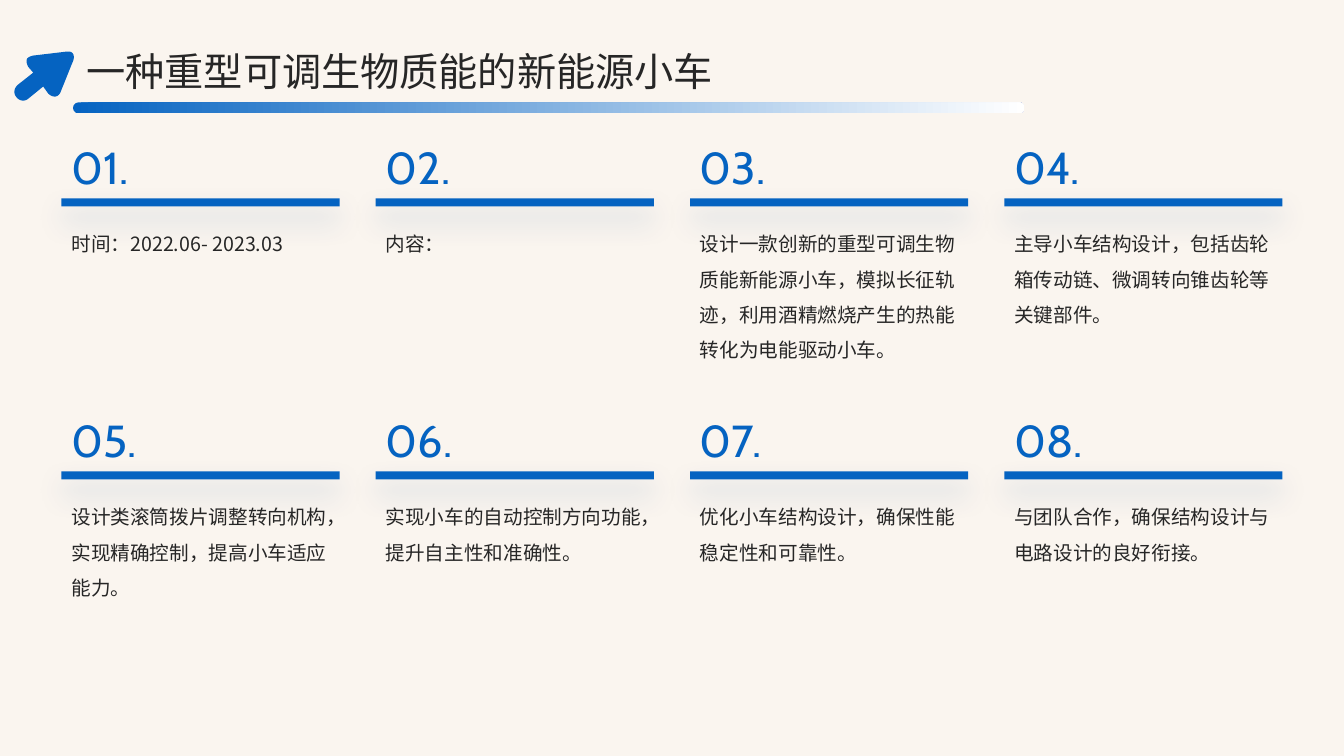
import pptx
import pptx.dml.color
import pptx.enum.shapes
import pptx.enum.text
import pptx.oxml
import pptx.oxml.ns
import pptx.util
from lxml import etree

Cm = pptx.util.Cm
RGBColor = pptx.dml.color.RGBColor
MSO_SHAPE = pptx.enum.shapes.MSO_SHAPE
MSO_ANCHOR = pptx.enum.text.MSO_ANCHOR
qn = pptx.oxml.ns.qn

BLUE = RGBColor(0x05, 0x63, 0xC1)
SHADOW_BLUE = RGBColor(0x04, 0x4A, 0x91)
CREAM = RGBColor(0xF6, 0xED, 0xE1)
INK = RGBColor(0x26, 0x26, 0x26)
WHITE = RGBColor(0xFF, 0xFF, 0xFF)

SLIDE_WIDTH, SLIDE_HEIGHT = 33.87, 19.05
COLUMNS = 4
COLUMN_PITCH, ROW_PITCH = 7.92, 6.88
TITLE = "一种重型可调生物质能的新能源小车"
CARDS = [
    "时间：2022.06- 2023.03",
    "内容：",
    "设计一款创新的重型可调生物质能新能源小车，模拟长征轨迹，利用酒精燃烧产生的热能转化为电能驱动小车。",
    "主导小车结构设计，包括齿轮箱传动链、微调转向锥齿轮等关键部件。",
    "设计类滚筒拨片调整转向机构，实现精确控制，提高小车适应能力。",
    "实现小车的自动控制方向功能，提升自主性和准确性。",
    "优化小车结构设计，确保性能稳定性和可靠性。",
    "与团队合作，确保结构设计与电路设计的良好衔接。",
]
ARROW_START = (0.69, 1.47)
ARROW_SEGMENTS = [
    [(0.66, 1.52), (0.66, 1.57), (0.71, 1.68)],
    [(0.84, 1.83)],
    [(0.46, 2.13)],
    [(0.36, 2.21), (0.33, 2.34), (0.41, 2.44)],
    [(0.48, 2.54), (0.61, 2.57), (0.71, 2.49)],
    [(1.09, 2.18)],
    [(1.22, 2.36)],
    [(1.22, 2.36), (1.4, 2.54), (1.52, 2.34)],
    [(1.85, 1.52)],
    [(1.85, 1.52), (1.93, 1.27), (1.68, 1.3)],
    [(0.84, 1.4)],
    [(0.84, 1.4), (0.74, 1.42), (0.69, 1.47)],
]


def curve_points(start, controls, steps=10):
    if len(controls) == 1:
        return controls
    points = []
    for step in range(1, steps + 1):
        t = step / steps
        weights = ((1 - t) ** 3, 3 * t * (1 - t) ** 2, 3 * t**2 * (1 - t), t**3)
        points.append(tuple(
            sum(weight * value for weight, value in zip(weights, values))
            for values in zip(start, *controls)
        ))
    return points


class SlideBuilder:
    number_format = {"name": "Cabin", "size": pptx.util.Pt(32)}
    body_format = {"name": "Noto Sans CJK SC", "size": pptx.util.Pt(14)}
    title_format = {"name": "Noto Sans CJK SC", "size": pptx.util.Pt(28)}

    def __init__(self, slide):
        self.slide = slide

    def finish(self, shape, color):
        shape.shadow.inherit = False
        shape.line.fill.background()
        shape.fill.solid()
        shape.fill.fore_color.rgb = color
        return shape

    def block(self, left, top, width, height, color, kind=MSO_SHAPE.RECTANGLE):
        shape = self.slide.shapes.add_shape(
            kind, Cm(left), Cm(top), Cm(width), Cm(height))
        return self.finish(shape, color)

    def backdrop(self):
        shape = self.block(0, 0, SLIDE_WIDTH, SLIDE_HEIGHT, CREAM)
        color = shape.fill._xPr.find(".//" + qn("a:srgbClr"))
        etree.SubElement(color, qn("a:alpha"), val="50000")

    def shadow_bar(self, left, top, width, height):
        shape = self.block(left, top, width, height, BLUE)
        effects = shape._element.spPr.find(qn("a:effectLst"))
        shadow = etree.SubElement(
            effects, qn("a:outerShdw"), blurRad=str(pptx.util.Pt(20)),
            dist=str(pptx.util.Pt(10)), dir="5400000", algn="t", rotWithShape="0")
        color = etree.SubElement(shadow, qn("a:srgbClr"), val=str(SHADOW_BLUE))
        etree.SubElement(color, qn("a:alpha"), val="20000")

    def gradient_bar(self, left, top, width, height):
        shape = self.block(
            left, top, width, height, BLUE, MSO_SHAPE.ROUNDED_RECTANGLE)
        shape.adjustments[0] = 0.5
        shape.fill.gradient()
        shape.fill.gradient_angle = 0
        for stop, color in zip(shape.fill.gradient_stops, (BLUE, WHITE)):
            stop.color.rgb = color

    def text(self, words, left, top, width, height, format_values, color,
             line_spacing=1.0, anchor=MSO_ANCHOR.TOP):
        box = self.slide.shapes.add_textbox(
            Cm(left), Cm(top), Cm(width), Cm(height))
        frame = box.text_frame
        frame_values = {
            "word_wrap": True, "vertical_anchor": anchor, "margin_left": 0,
            "margin_right": 0, "margin_top": 0, "margin_bottom": 0}
        for name, value in frame_values.items():
            setattr(frame, name, value)
        paragraph = frame.paragraphs[0]
        paragraph.line_spacing = line_spacing
        run = paragraph.add_run()
        run.text = words
        for name, value in format_values.items():
            setattr(run.font, name, value)
        run.font.color.rgb = color
        etree.SubElement(
            run._r.get_or_add_rPr(), qn("a:ea"), typeface=format_values["name"])

    def outline(self, start, segments, color):
        points = [start]
        for controls in segments:
            points.extend(curve_points(points[-1], controls))
        corners = [(Cm(x), Cm(y)) for x, y in points]
        builder = self.slide.shapes.build_freeform(*corners[0])
        builder.add_line_segments(corners[1:], close=True)
        self.finish(builder.convert_to_shape(), color)

    def card(self, index, words):
        row, column = divmod(index, COLUMNS)
        left = 1.55 + column * COLUMN_PITCH
        top = 3.51 + row * ROW_PITCH
        self.text(f"{index + 1:02d}.", left + 0.25, top, 6.5, 1.3,
                  self.number_format, BLUE)
        self.shadow_bar(left, top + 1.49, 7.01, 0.2)
        self.text(words, left + 0.25, top + 2.05, 6.5, 4.22,
                  self.body_format, INK, line_spacing=1.5)


def main():
    presentation = pptx.Presentation()
    presentation.slide_width = Cm(SLIDE_WIDTH)
    presentation.slide_height = Cm(SLIDE_HEIGHT)
    slide = presentation.slides.add_slide(presentation.slide_layouts[6])
    builder = SlideBuilder(slide)
    builder.backdrop()
    for index, words in enumerate(CARDS):
        builder.card(index, words)
    builder.text(TITLE, 2.18, 1.07, 29.64, 1.3, builder.title_format, INK,
                 line_spacing=1.1, anchor=MSO_ANCHOR.MIDDLE)
    builder.gradient_bar(1.84, 2.58, 23.98, 0.28)
    builder.outline(ARROW_START, ARROW_SEGMENTS, BLUE)
    presentation.save("out.pptx")


if __name__ == "__main__":
    main()
